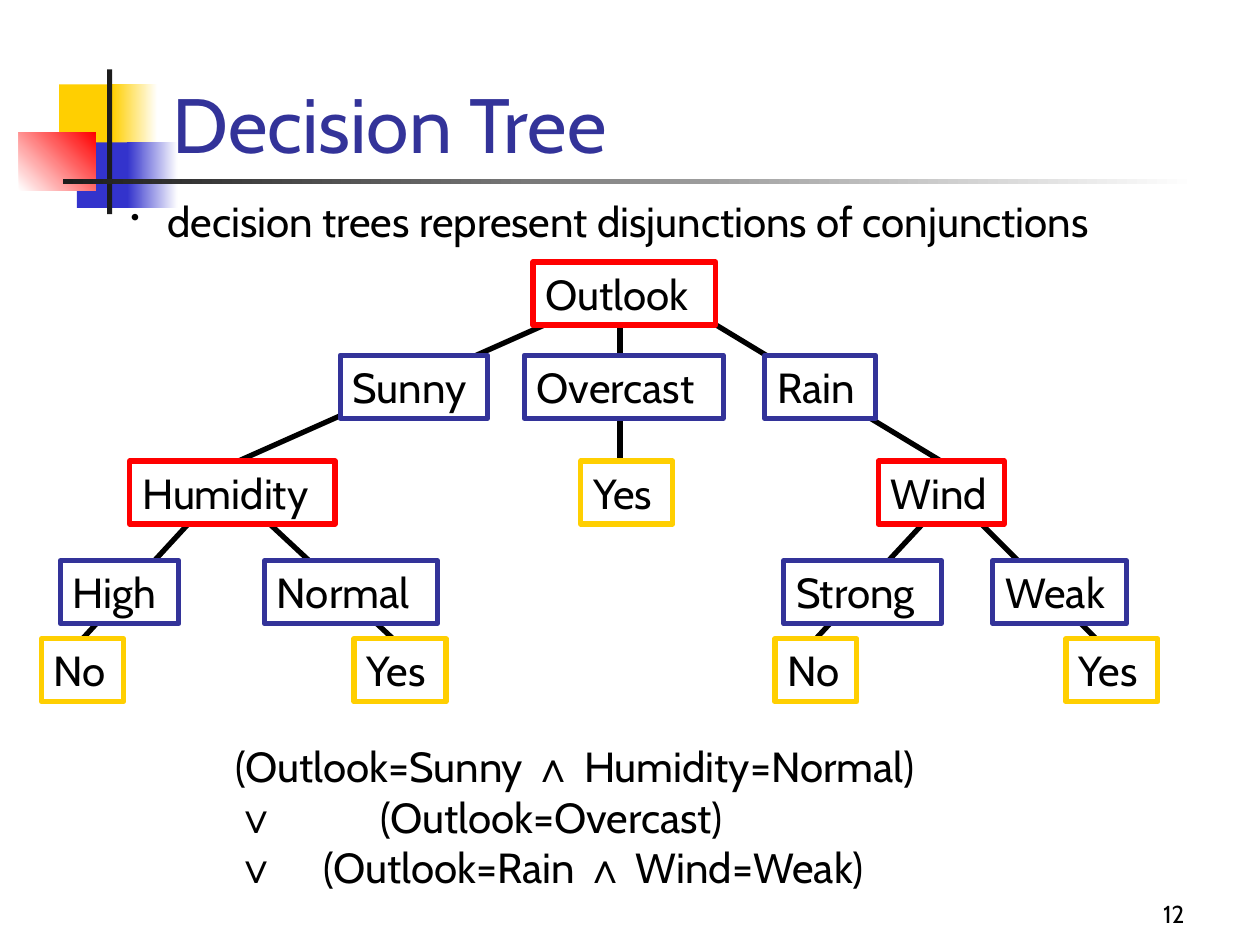
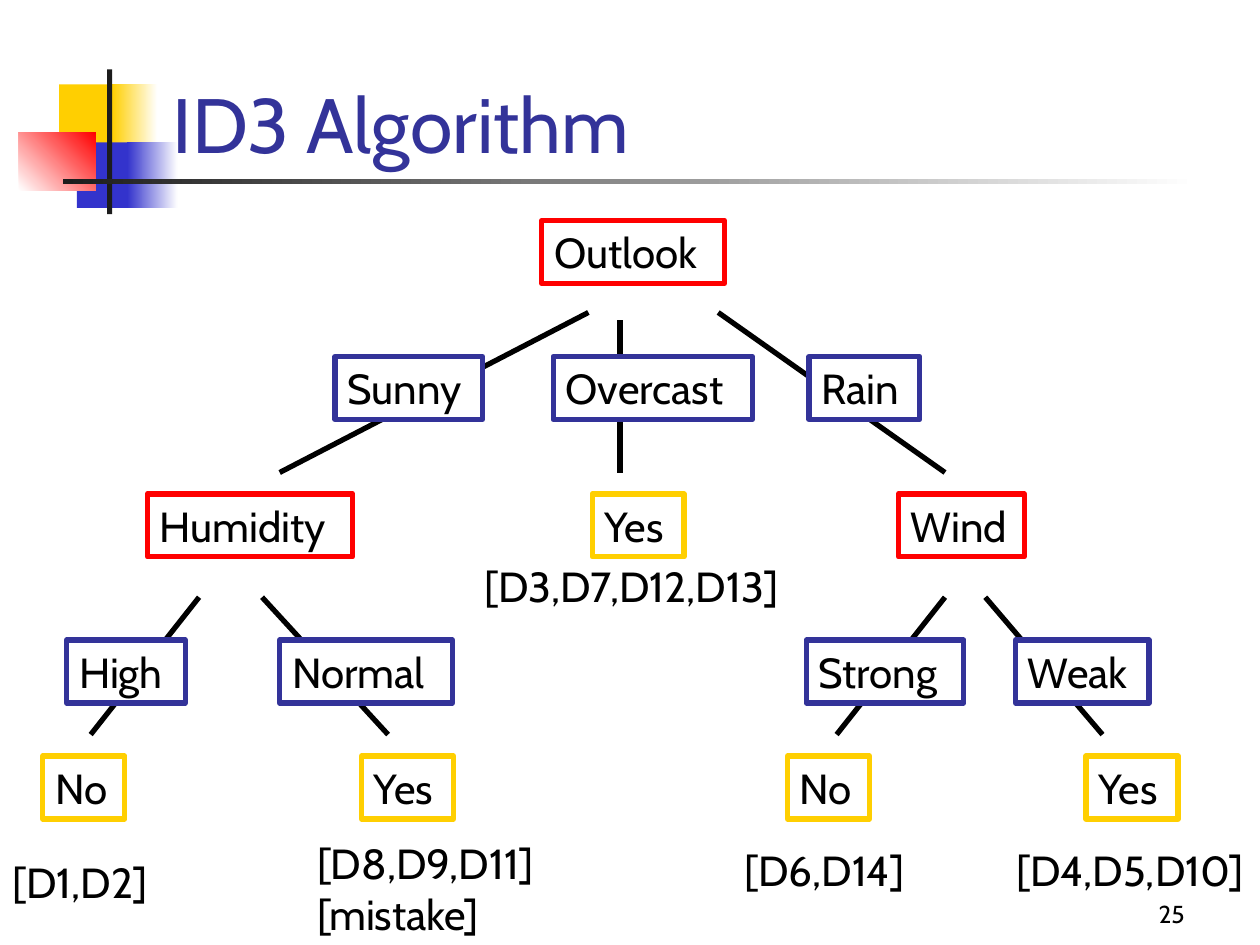
import dataclasses

import lxml.etree
import pptx
import pptx.dml.color
import pptx.enum.shapes
import pptx.enum.text
import pptx.oxml.ns
import pptx.util

Inches = pptx.util.Inches
Pt = pptx.util.Pt
RECTANGLE = pptx.enum.shapes.MSO_SHAPE.RECTANGLE
STRAIGHT = pptx.enum.shapes.MSO_CONNECTOR.STRAIGHT
ANCHOR = pptx.enum.text.MSO_ANCHOR
ALIGN = pptx.enum.text.PP_ALIGN


@dataclasses.dataclass(frozen=True)
class Theme:
    """Colours, fonts and sizes shared by the slides."""
    text: str = "000000"
    paper: str = "FFFFFF"
    ink: str = "1C1C1C"
    title: str = "333399"
    yellow: str = "FFCF01"
    blue: str = "3333CC"
    red: str = "FF0000"
    font: str = "Cabin"
    symbol_font: str = "Arial"
    title_size: int = 44
    body_size: int = 24
    number_size: int = 14
    line_width: int = 3


THEME = Theme()
ROLE_COLOURS = {"attribute": THEME.red, "value": THEME.title, "answer": THEME.yellow}
NODE_HEIGHT = 0.5

# word, role, row, width
NODES = [
    ("Outlook", "attribute", 0, 1.45),
    ("Sunny", "value", 1, 1.17),
    ("Overcast", "value", 1, 1.58),
    ("Rain", "value", 1, 0.88),
    ("Humidity", "attribute", 2, 1.63),
    ("Yes", "answer", 2, 0.73),
    ("Wind", "attribute", 2, 1),
    ("High", "value", 3, 0.94),
    ("Normal", "value", 3, 1.37),
    ("Strong", "value", 3, 1.25),
    ("Weak", "value", 3, 1.06),
    ("No", "answer", 4, 0.65),
    ("Yes", "answer", 4, 0.73),
    ("No", "answer", 4, 0.65),
    ("Yes", "answer", 4, 0.73),
]


@dataclasses.dataclass(frozen=True)
class TreeLayout:
    """Places of a tree's rows, nodes and branches inside its box."""
    row_tops: list
    node_lefts: list
    upper_span: tuple
    upper_branches: list
    lower_span: tuple
    lower_branches: list


DECISION_TREE = TreeLayout(
    row_tops=[0, 0.74, 1.58, 2.37, 2.99],
    node_lefts=[4.23, 2.7, 4.16, 6.07, 1.03, 4.61, 6.97,
                0.48, 2.1, 6.22, 7.88, 0.33, 2.81, 6.15, 8.46],
    upper_span=(0.34, 1.58),
    upper_branches=[(4.68, 1.89), (5.42, 7.47)],
    lower_span=(1.92, 2.99),
    lower_branches=[(1.64, 0.66), (1.97, 3.12), (7.63, 8.7), (7.47, 6.48)],
)
ID3_TREE = TreeLayout(
    row_tops=[0, 1.08, 2.17, 3.33, 4.25],
    node_lefts=[4.3, 2.66, 4.39, 6.42, 1.17, 4.7, 7.13,
                0.53, 2.22, 6.4, 8.06, 0.34, 2.87, 6.25, 8.62],
    upper_span=(0.73, 2),
    upper_branches=[(4.67, 2.22), (5.7, 7.5)],
    lower_span=(2.99, 4.08),
    lower_branches=[(1.58, 0.72), (2.08, 3.08), (7.82, 8.75), (7.5, 6.64)],
)
TRUNK_X = 4.92
TRUNK_DROP = 0.06


def rgb(colour):
    """Turn a hex string into a colour."""
    return pptx.dml.color.RGBColor.from_string(colour)


def set_font(font, size=THEME.body_size, colour=THEME.text):
    """Give a font the theme's face with a size and colour."""
    font.name = THEME.font
    font.size = Pt(size)
    font.color.rgb = rgb(colour)


def add_text(slide, box, text, size=THEME.body_size, colour=THEME.text,
             anchor=ANCHOR.TOP, align=ALIGN.LEFT):
    """Add a wrapping text box and return its first paragraph."""
    frame = slide.shapes.add_textbox(*map(Inches, box)).text_frame
    frame.word_wrap = True
    frame.vertical_anchor = anchor
    paragraph = frame.paragraphs[0]
    paragraph.text = text
    paragraph.alignment = align
    set_font(paragraph.font, size, colour)
    return paragraph


def add_rectangle(slide, box, colour, fade_to=None, angle=0):
    """Add a borderless rectangle, plain or fading to a second colour."""
    shape = slide.shapes.add_shape(RECTANGLE, *map(Inches, box))
    shape.shadow.inherit = False
    shape.line.fill.background()
    if fade_to:
        shape.fill.gradient()
        shape.fill.gradient_angle = angle
        for stop, stop_colour in zip(shape.fill.gradient_stops, (colour, fade_to)):
            stop.color.rgb = rgb(stop_colour)
    else:
        shape.fill.solid()
        shape.fill.fore_color.rgb = rgb(colour)
    return shape


def add_ornament(slide, left, top):
    """Draw the coloured squares and the crossing rules."""
    for x, y, width, height, *paint in [
        (0.32, 0.12, 0.48, 0.52, THEME.yellow),
        (0.74, 0.12, 0.36, 0.52, THEME.yellow, THEME.paper),
        (0.46, 0.58, 0.46, 0.52, THEME.blue),
        (0.86, 0.58, 0.4, 0.52, THEME.blue, THEME.paper),
        (0, 0.5, 0.61, 0.46, THEME.paper, THEME.red, 45),
        (0.7, 0, 0.04, 1.15, THEME.ink),
        (0.35, 0.87, 9, 0.04, THEME.ink, THEME.paper),
    ]:
        add_rectangle(slide, (left + x, top + y, width, height), *paint)


def add_base_slide(presentation, title, number):
    """Add a slide with its ornament, title and page number."""
    slide = presentation.slides.add_slide(presentation.slide_layouts[6])
    add_ornament(slide, 0.15, 0.55)
    add_text(slide, (7.42, 6.92, 2.08, 0.5), number, THEME.number_size,
             anchor=ANCHOR.BOTTOM, align=ALIGN.RIGHT)
    add_text(slide, (1.27, 0.14, 8.52, 1.25), title, THEME.title_size,
             THEME.title, ANCHOR.BOTTOM)
    return slide


def add_branch(slide, start, end):
    """Add a straight branch between two points."""
    branch = slide.shapes.add_connector(STRAIGHT, *map(Inches, (*start, *end)))
    branch.line.color.rgb = rgb(THEME.text)
    branch.line.width = Pt(THEME.line_width)
    lxml.etree.SubElement(branch._element.spPr, pptx.oxml.ns.qn("a:effectLst"))
    return branch


def add_node(slide, left, top, width, word, role):
    """Add a framed tree node in the colour of its role."""
    node = add_rectangle(slide, (left, top, width, NODE_HEIGHT), THEME.paper)
    node.line.color.rgb = rgb(ROLE_COLOURS[role])
    node.line.width = Pt(THEME.line_width)
    node.text_frame.word_wrap = True
    node.text_frame.vertical_anchor = ANCHOR.TOP
    paragraph = node.text_frame.paragraphs[0]
    paragraph.text = word
    paragraph.alignment = ALIGN.LEFT
    set_font(paragraph.font)
    return node


def add_tree(slide, top, layout):
    """Draw branches behind nodes and join those that meet a node's top middle."""
    upper_start, upper_end = layout.upper_span
    spans = [(layout.upper_span, pair) for pair in layout.upper_branches]
    spans += [(layout.lower_span, pair) for pair in layout.lower_branches]
    spans.append(((upper_start + TRUNK_DROP, upper_end), (TRUNK_X, TRUNK_X)))
    branches = [
        add_branch(slide, (start_x, top + start_y), (end_x, top + end_y))
        for (start_y, end_y), (start_x, end_x) in spans
    ]
    nodes = [
        add_node(slide, left, top + layout.row_tops[row], width, word, role)
        for left, (word, role, row, width) in zip(layout.node_lefts, NODES)
    ]
    tolerance = Inches(0.01)
    for branch in branches:
        for node in nodes:
            middle = node.left + node.width // 2
            if (abs(branch.end_x - middle) <= tolerance
                    and abs(branch.end_y - node.top) <= tolerance):
                branch.end_connect(node, 0)


def add_bullet(slide, box, text):
    """Add a line of text with a small hanging bullet."""
    properties = add_text(slide, box, text)._p.get_or_add_pPr()
    indent = Inches(0.29)
    properties.set("marL", str(indent))
    properties.set("indent", str(-indent))
    size = lxml.etree.Element(pptx.oxml.ns.qn("a:buSzPct"), val="60000")
    bullet = lxml.etree.Element(pptx.oxml.ns.qn("a:buChar"), char="•")
    properties.insert(0, size)
    properties.insert(1, bullet)


def add_formula(slide, box, lines):
    """Add lines of logic, each with its tab stop and symbols in their own font."""
    frame = slide.shapes.add_textbox(*map(Inches, box)).text_frame
    frame.word_wrap = True
    for index, (tab, pieces) in enumerate(lines):
        paragraph = frame.add_paragraph() if index else frame.paragraphs[0]
        for piece in pieces:
            run = paragraph.add_run()
            run.text = piece
            set_font(run.font)
            if piece in "∧∨":
                run.font.name = THEME.symbol_font
        if tab:
            stops = lxml.etree.SubElement(paragraph._p.get_or_add_pPr(),
                                          pptx.oxml.ns.qn("a:tabLst"))
            lxml.etree.SubElement(stops, pptx.oxml.ns.qn("a:tab"),
                                  pos=str(Inches(tab)), algn="l")


def build_decision_tree_slide(presentation):
    """Show the tree and the formula it stands for."""
    slide = add_base_slide(presentation, "Decision Tree", "12")
    add_tree(slide, 2.08, DECISION_TREE)
    add_bullet(slide, (0.94, 1.5, 8.61, 0.5),
               "decision trees represent disjunctions of conjunctions")
    add_formula(slide, (1.77, 5.83, 5.98, 1.3), [
        (None, ["(Outlook=Sunny ", "∧", " Humidity=Normal)"]),
        (1.15, ["∨", "\t(Outlook=Overcast)"]),
        (0.7, ["∨", "\t(Outlook=Rain ", "∧", " Wind=Weak)"]),
    ])


def build_id3_slide(presentation):
    """Show the tree with the examples sorted to each leaf."""
    slide = add_base_slide(presentation, "ID3 Algorithm", "25")
    add_tree(slide, 1.75, ID3_TREE)
    for left, top, width, height, examples in [
        (3.75, 4.4, 2.92, 0.5, "[D3,D7,D12,D13]"),
        (2.42, 6.6, 2.44, 0.9, "[D8,D9,D11] [mistake]"),
        (5.81, 6.65, 2.44, 0.5, "[D6,D14]"),
        (0, 6.75, 1.53, 0.5, "[D1,D2]"),
        (7.97, 6.65, 2.44, 0.5, "[D4,D5,D10]"),
    ]:
        add_text(slide, (left, top, width, height), examples)


def main():
    """Build and save the presentation."""
    presentation = pptx.Presentation()
    presentation.slide_width = Inches(10)
    presentation.slide_height = Inches(7.5)
    build_decision_tree_slide(presentation)
    build_id3_slide(presentation)
    presentation.save("out.pptx")


if __name__ == "__main__":
    main()
